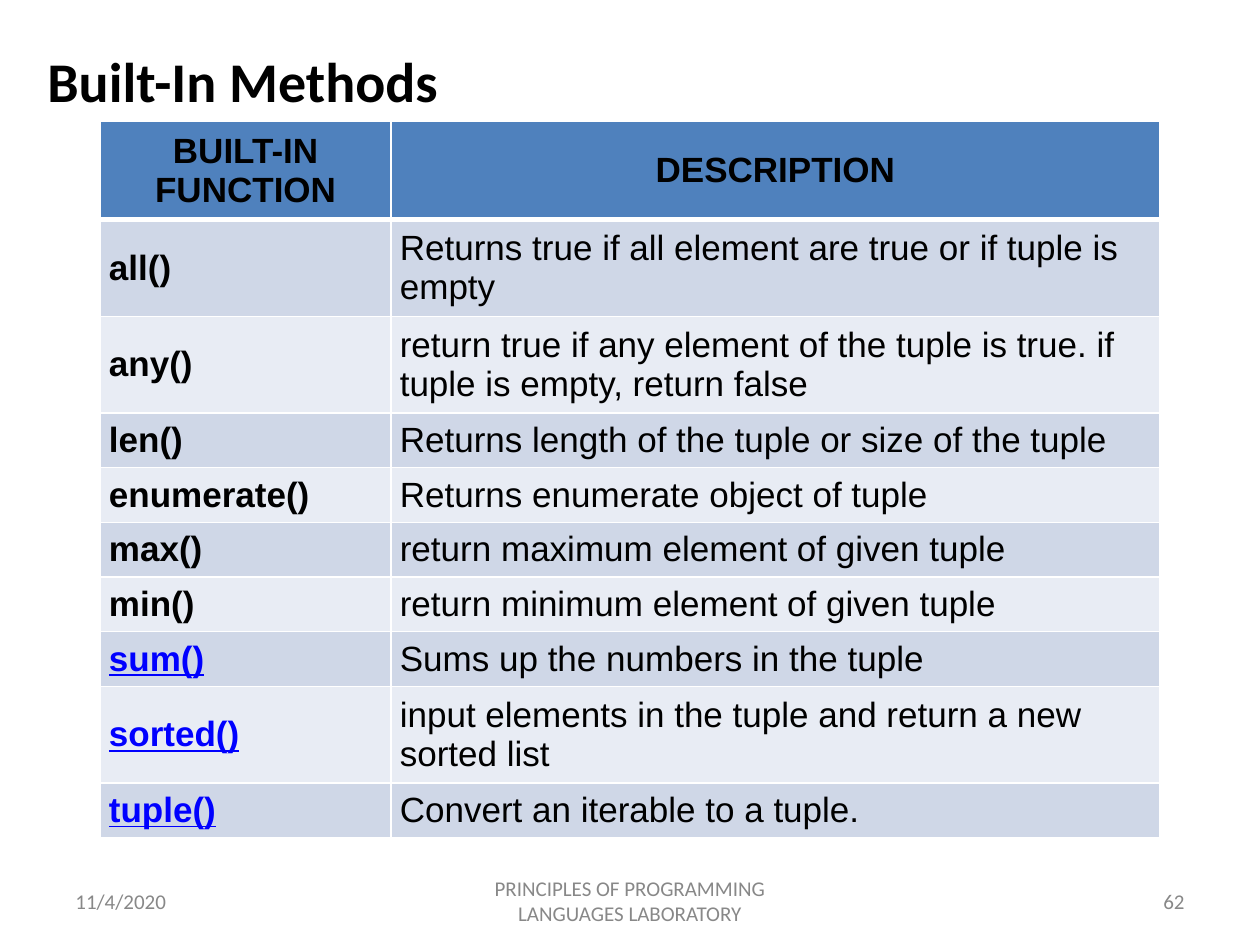
"""Build a slide that tabulates the built-in functions for tuples."""
from dataclasses import dataclass
from lxml.etree import SubElement
from pptx import Presentation
from pptx.dml.color import RGBColor
from pptx.enum.text import MSO_ANCHOR, PP_ALIGN
from pptx.oxml.ns import qn
from pptx.util import Pt


@dataclass(frozen=True)
class Theme:
    """Colours, fonts and type sizes."""
    ink: str = "000000"
    muted: str = "888888"
    link: str = "0000FF"
    head: str = "4F81BD"
    bands: tuple = ("CFD7E7", "E8ECF4")
    rule: str = "FFFFFF"
    sans: str = "Calibri"
    grid: str = "Arial"
    title: int = 32
    body: int = 20
    small: int = 12


HEADS = ("BUILT-IN FUNCTION", "DESCRIPTION")
ROWS = (
    ("all()", "Returns true if all element are true or if tuple is empty"),
    ("any()", "return true if any element of the tuple is true. if tuple is empty, return false"),
    ("len()", "Returns length of the tuple or size of the tuple"),
    ("enumerate()", "Returns enumerate object of tuple"),
    ("max()", "return maximum element of given tuple"),
    ("min()", "return minimum element of given tuple"),
    ("sum()", "Sums up the numbers in the tuple"),
    ("sorted()", "input elements in the tuple and return a new sorted list"),
    ("tuple()", "Convert an iterable to a tuple."),
)
LINKS = {"sum()", "sorted()", "tuple()"}
TALL = {"all()", "any()", "sorted()"}
FOOTERS = (
    (36, 168, "11/4/2020", PP_ALIGN.LEFT),
    (246, 228, "PRINCIPLES OF PROGRAMMING LANGUAGES LABORATORY", PP_ALIGN.CENTER),
    (516, 168, "62", PP_ALIGN.RIGHT),
)


def write(frame, text, *, font, size, color, bold=False, under=False, align=PP_ALIGN.LEFT):
    """Write one formatted paragraph into a text frame."""
    para = frame.paragraphs[0]
    para.alignment = align
    run = para.add_run()
    run.text = text
    run.font.name = font
    run.font.size = Pt(size)
    run.font.color.rgb = RGBColor.from_string(color)
    run.font.bold = bold
    run.font.underline = under


class Board:
    """Hold the theme and the current slide, and draw elements on it."""

    def __init__(self, slide, theme):
        """Keep the slide and its theme."""
        self.slide = slide
        self.theme = theme

    def text(self, left, top, width, height, text, anchor=MSO_ANCHOR.TOP, **style):
        """Add a wrapped text box."""
        box = self.slide.shapes.add_textbox(Pt(left), Pt(top), Pt(width), Pt(height))
        frame = box.text_frame
        frame.word_wrap = True
        frame.vertical_anchor = anchor
        write(frame, text, font=self.theme.sans, **style)

    def cell(self, cell, text, fill, pads, top=1, bottom=1, **style):
        """Format and fill one table cell."""
        props = cell._tc.get_or_add_tcPr()
        for side, width in (("L", 1), ("R", 1), ("T", top), ("B", bottom)):
            line = SubElement(props, qn(f"a:ln{side}"), w=str(Pt(width)))
            solid = SubElement(line, qn("a:solidFill"))
            SubElement(solid, qn("a:srgbClr"), val=self.theme.rule)
        cell.fill.solid()
        cell.fill.fore_color.rgb = RGBColor.from_string(fill)
        cell.vertical_anchor = MSO_ANCHOR.MIDDLE
        cell.margin_left = cell.margin_right = Pt(pads[0])
        cell.margin_top = cell.margin_bottom = Pt(pads[1])
        write(cell.text_frame, text, font=self.theme.grid, size=self.theme.body, **style)

    def table(self, left, top, widths, heads, rows):
        """Add the banded table with its header row."""
        theme = self.theme
        heights = [55] + [55 if name in TALL else 31 for name, _ in rows]
        table = self.slide.shapes.add_table(
            len(heights), len(widths), Pt(left), Pt(top), Pt(sum(widths)), Pt(sum(heights))
        ).table
        for column, width in zip(table.columns, widths):
            column.width = Pt(width)
        for row, height in zip(table.rows, heights):
            row.height = Pt(height)
        for col, text in enumerate(heads):
            self.cell(table.cell(0, col), text, theme.head, (3, 4), bottom=3,
                      color=theme.ink, bold=True, align=PP_ALIGN.CENTER)
        for index, pair in enumerate(rows, 1):
            fill = theme.bands[(index - 1) % 2]
            for col, text in enumerate(pair):
                link = text in LINKS
                self.cell(table.cell(index, col), text, fill, (5, 3.6),
                          top=3 if index == 1 else 1, bold=col == 0, under=link,
                          color=theme.link if link else theme.ink)


def main():
    """Build and save the slide."""
    deck = Presentation()
    deck.slide_width, deck.slide_height = Pt(720), Pt(540)
    theme = Theme()
    board = Board(deck.slides.add_slide(deck.slide_layouts[6]), theme)
    for left, width, text, align in FOOTERS:
        board.text(left, 500.5, width, 28.75, text, anchor=MSO_ANCHOR.MIDDLE,
                   size=theme.small, color=theme.muted, align=align)
    board.text(20, 23, 360, 46, "Built-In Methods",
               size=theme.title, color=theme.ink, bold=True)
    board.table(57.25, 69.5, (166.25, 439.25), HEADS, ROWS)
    deck.save("out.pptx")


if __name__ == "__main__":
    main()
